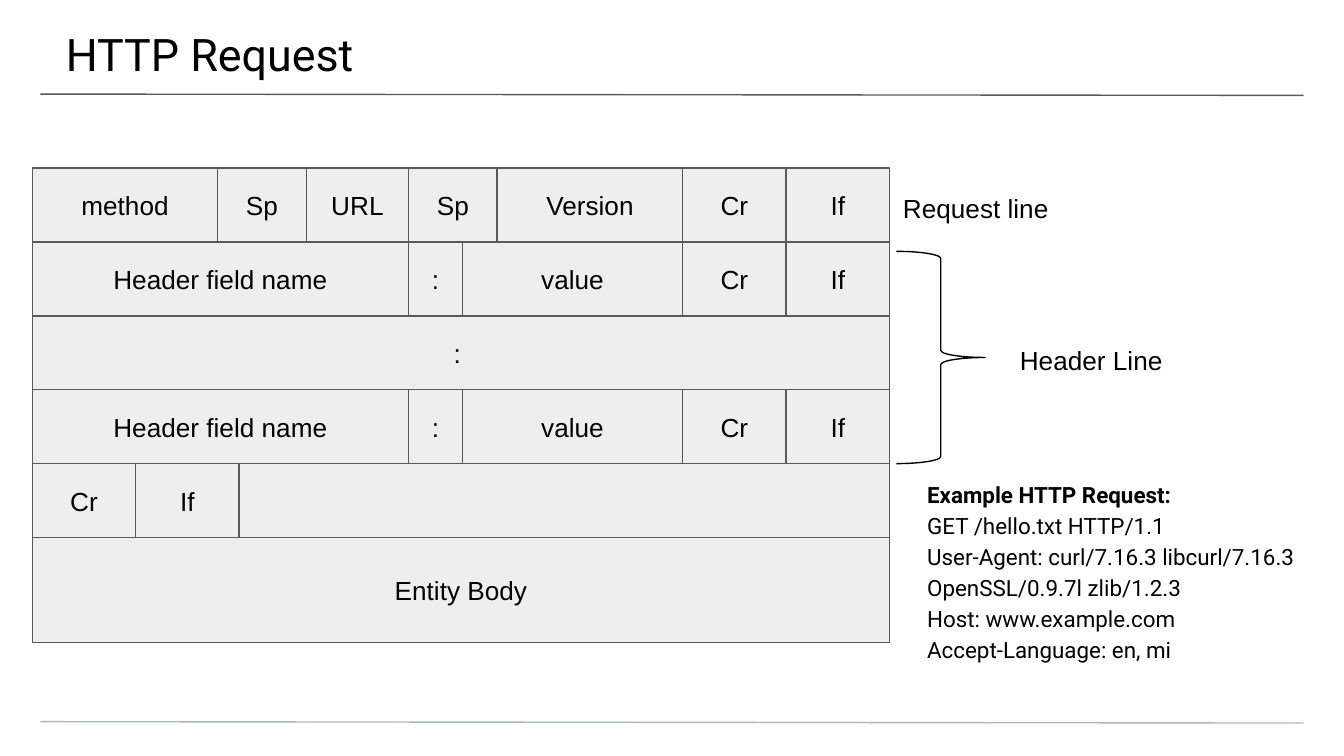
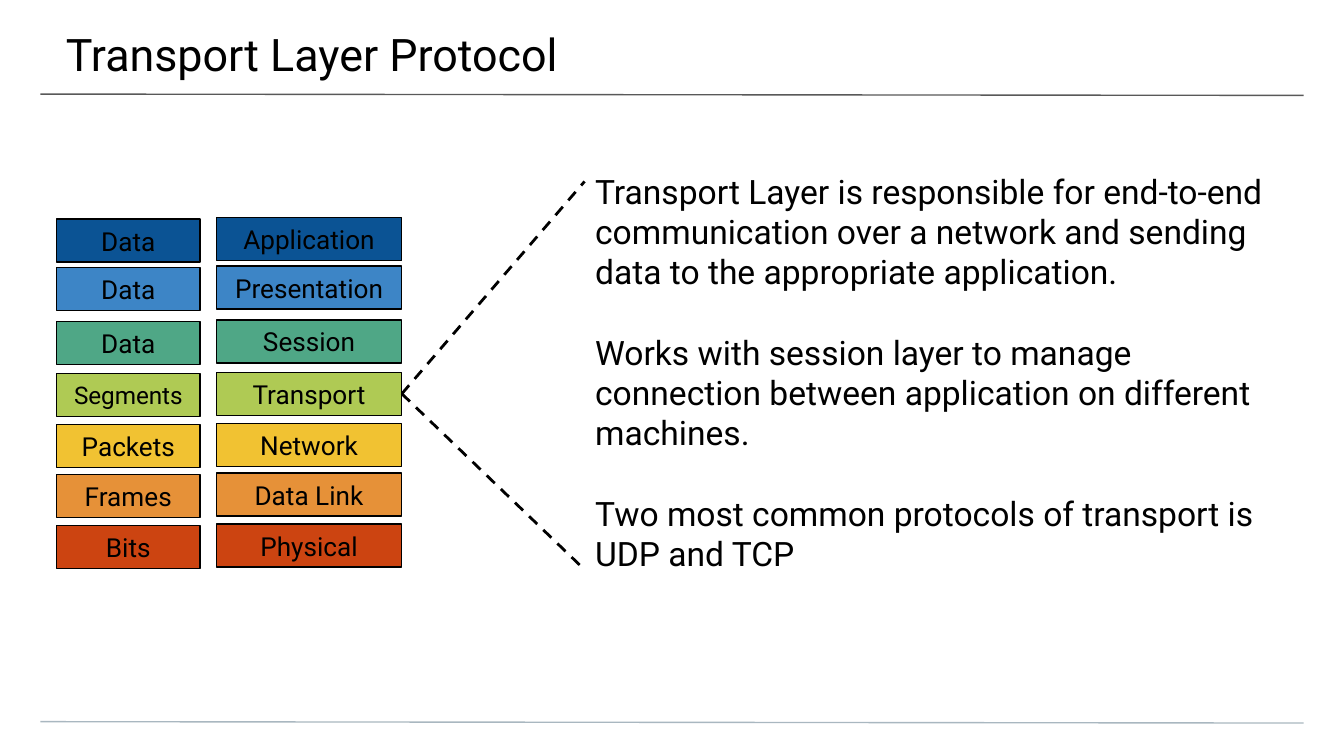
"""Build two networking slides: the HTTP request format and the transport layer."""
from lxml import etree
from pptx import Presentation, util as u
from pptx.dml.color import RGBColor
from pptx.enum import dml, shapes, text
from pptx.oxml import ns

COLORS = {
    "ink": "000000", "rule": "595959", "footer": "A9B7C0", "cell": "EEEEEE",
    "application": "0B5394", "presentation": "3D85C6", "session": "4FA786",
    "transport": "AFCA54", "network": "F1C232", "link": "E69138", "physical": "CC4411",
}


def write(shape, lines, size, font, align=text.PP_ALIGN.LEFT,
          anchor=text.MSO_ANCHOR.TOP, insets=(0.1, 0.1, 0.1, 0.1)):
    frame = shape.text_frame
    frame.word_wrap = True
    frame.auto_size = text.MSO_AUTO_SIZE.NONE
    frame.vertical_anchor = anchor
    (frame.margin_left, frame.margin_top,
     frame.margin_right, frame.margin_bottom) = map(u.Inches, insets)
    frame.text = "\n".join(lines)
    for para in frame.paragraphs:
        para.alignment = align
        for span in para.runs:
            span.font.size = u.Pt(size)
            span.font.name = font
            span.font.color.rgb = RGBColor.from_string(COLORS["ink"])
    return frame.paragraphs


def draw(page, kind, place, fill, line, width=0.75):
    place = [u.Inches(length) for length in place]
    if kind == "line":
        item = page.shapes.add_connector(shapes.MSO_CONNECTOR.STRAIGHT, *place)
        etree.SubElement(item.element.spPr, ns.qn("a:effectLst"))
    else:
        item = page.shapes.add_shape(kind, *place)
        item.shadow.inherit = False
        if fill:
            item.fill.solid()
            item.fill.fore_color.rgb = RGBColor.from_string(COLORS[fill])
        else:
            item.fill.background()
    item.line.color.rgb = RGBColor.from_string(COLORS[line])
    item.line.width = u.Pt(width)
    return item


deck = Presentation()
deck.slide_width = u.Inches(10)
deck.slide_height = deck.slide_width * 9 // 16
layout = deck.slide_layouts[5]
pages = []
for heading in ("HTTP Request", "Transport Layer Protocol"):
    page = deck.slides.add_slide(layout)
    title = page.shapes.title
    title.left, title.top, title.width, title.height = map(u.Inches, (-0.01, 0, 10.03, 0.58))
    write(title, [heading], 24, "Roboto", insets=(0.5, 0.2, 0.3, 0.1))
    pages.append(page)
request, transport = pages

for top, color in ((0.7, "rule"), (5.37, "footer")):
    band = draw(request, "line", (0.3, top, 9.7, top + 0.01), None, color)
    layout.shapes.element.append(band.element)

RECTANGLE = shapes.MSO_SHAPE.RECTANGLE
CENTER, MIDDLE = text.PP_ALIGN.CENTER, text.MSO_ANCHOR.MIDDLE
GRID_LEFT, GRID_TOP, ROW, BODY_ROW = 0.24, 1.255, 0.549, 0.78
GRID_TOP, ROW = 1.25, 0.55
ENDING = [("Cr", 0.77), ("If", 0.77)]
HEADER = [("Header field name", 2.8), (":", 0.4), ("value", 1.64)] + ENDING
message = [
    [("method", 1.38), ("Sp", 0.66), ("URL", 0.76), ("Sp", 0.66), ("Version", 1.38)] + ENDING,
    HEADER,
    [(": ", 6.38)],
    HEADER,
    ENDING + [("", 4.84)],
    [("Entity Body", 6.38)],
]
for index, fields in enumerate(message):
    left = GRID_LEFT
    height = BODY_ROW if index == len(message) - 1 else ROW
    for label, width in fields:
        cell = draw(request, RECTANGLE, (left, GRID_TOP + index * ROW, width, height),
                    "cell", "rule")
        if label:
            write(cell, [label], 14, "Arial", CENTER, MIDDLE)
        left += width

for label, left, top in (("Request line", 6.62, 1.33), ("Header Line", 7.49, 2.46)):
    box = request.shapes.add_textbox(*map(u.Inches, (left, top, 2.14, 0.4)))
    write(box, [label], 14, "Arial")

brace = draw(request, shapes.MSO_SHAPE.RIGHT_BRACE, (6.67, 1.87, 0.66, 1.58), None, "ink")
brace.adjustments[0], brace.adjustments[1] = 0.08, 0.5

example = request.shapes.add_textbox(*map(u.Inches, (6.8, 3.45, 3.09, 1.58)))
paras = write(example, [
    "Example HTTP Request:",
    "GET /hello.txt HTTP/1.1",
    "User-Agent: curl/7.16.3 libcurl/7.16.3 OpenSSL/0.9.7l zlib/1.2.3",
    "Host: www.example.com",
    "Accept-Language: en, mi",
], 12, "Roboto")
for para in paras:
    para.line_spacing = 1.15
paras[0].runs[0].font.bold = True

layers = [
    ("Application", "Data", "application", 1.62),
    ("Presentation", "Data", "presentation", 1.98),
    ("Session", "Data", "session", 2.38),
    ("Transport", "Segments", "transport", 2.77),
    ("Network", "Packets", "network", 3.15),
    ("Data Link", "Frames", "link", 3.52),
    ("Physical", "Bits", "physical", 3.9),
]
layer_boxes = {}
for layer, unit, color, top in layers:
    for label, left, offset, width in ((layer, 1.61, 0, 1.38), (unit, 0.42, 0.01, 1.07)):
        box = draw(transport, RECTANGLE, (left, top + offset, width, 0.32), color, "ink")
        size = 13 if label == "Segments" else 14
        write(box, [label], size, "Roboto", CENTER, MIDDLE)
        layer_boxes[label] = box

for right, end in ((4.35, 1.35), (4.33, 4.22)):
    ray = draw(transport, "line", (2.99, 2.93, right, end), None, "ink", 1.5)
    ray.line.dash_style = dml.MSO_LINE.DASH
    ray.begin_connect(layer_boxes["Transport"], 3)

summary = transport.shapes.add_textbox(*map(u.Inches, (4.33, 1.17, 5.25, 3.63)))
paras = write(summary, [
    "Transport Layer is responsible for end-to-end communication over a network "
    "and sending data to the appropriate application.",
    "Works with session layer to manage connection between application on different machines.",
    "Two most common protocols of transport is UDP and TCP",
], 18, "Roboto")
for para in paras[1:]:
    para.space_before = u.Pt(21.5)

deck.save("out.pptx")
